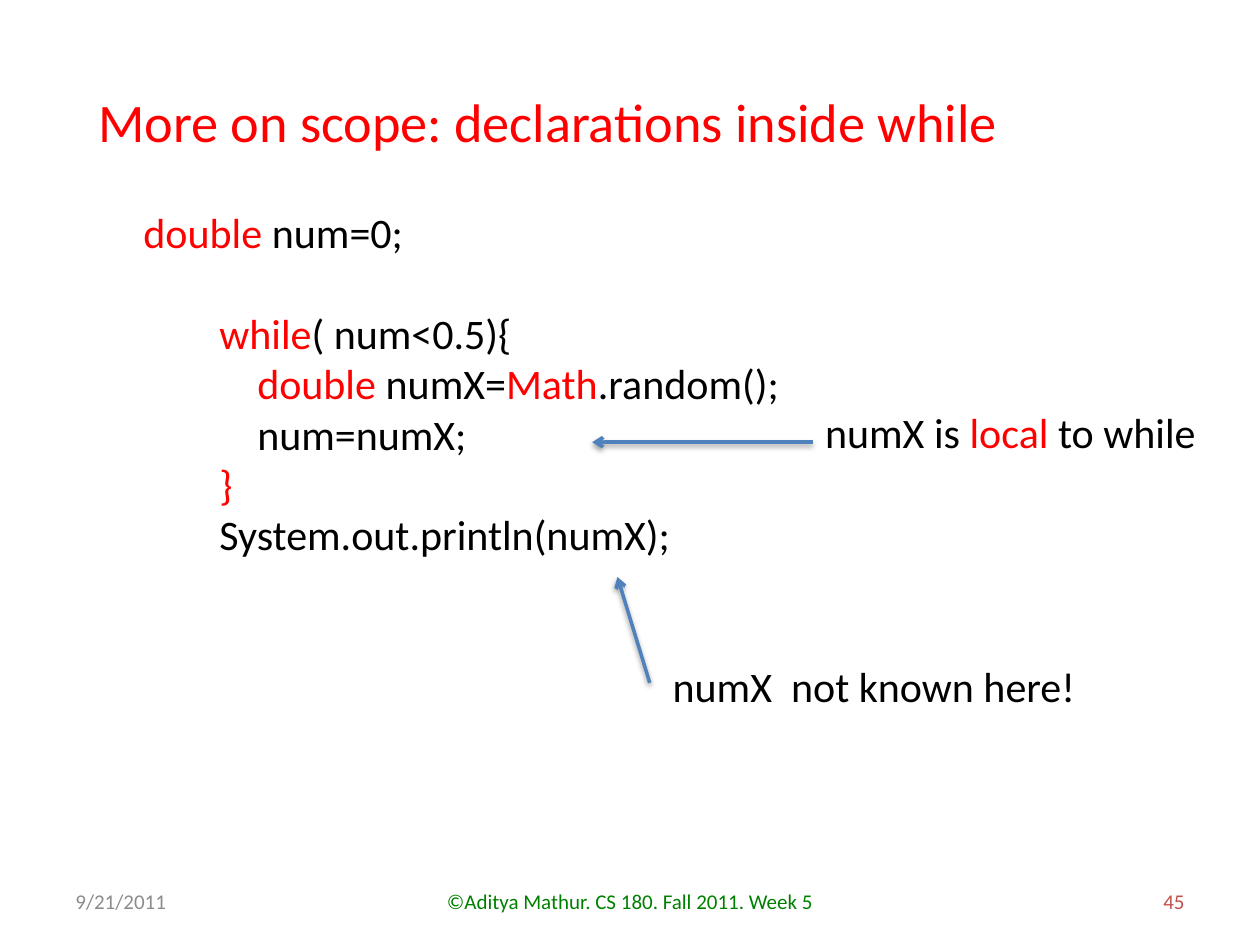
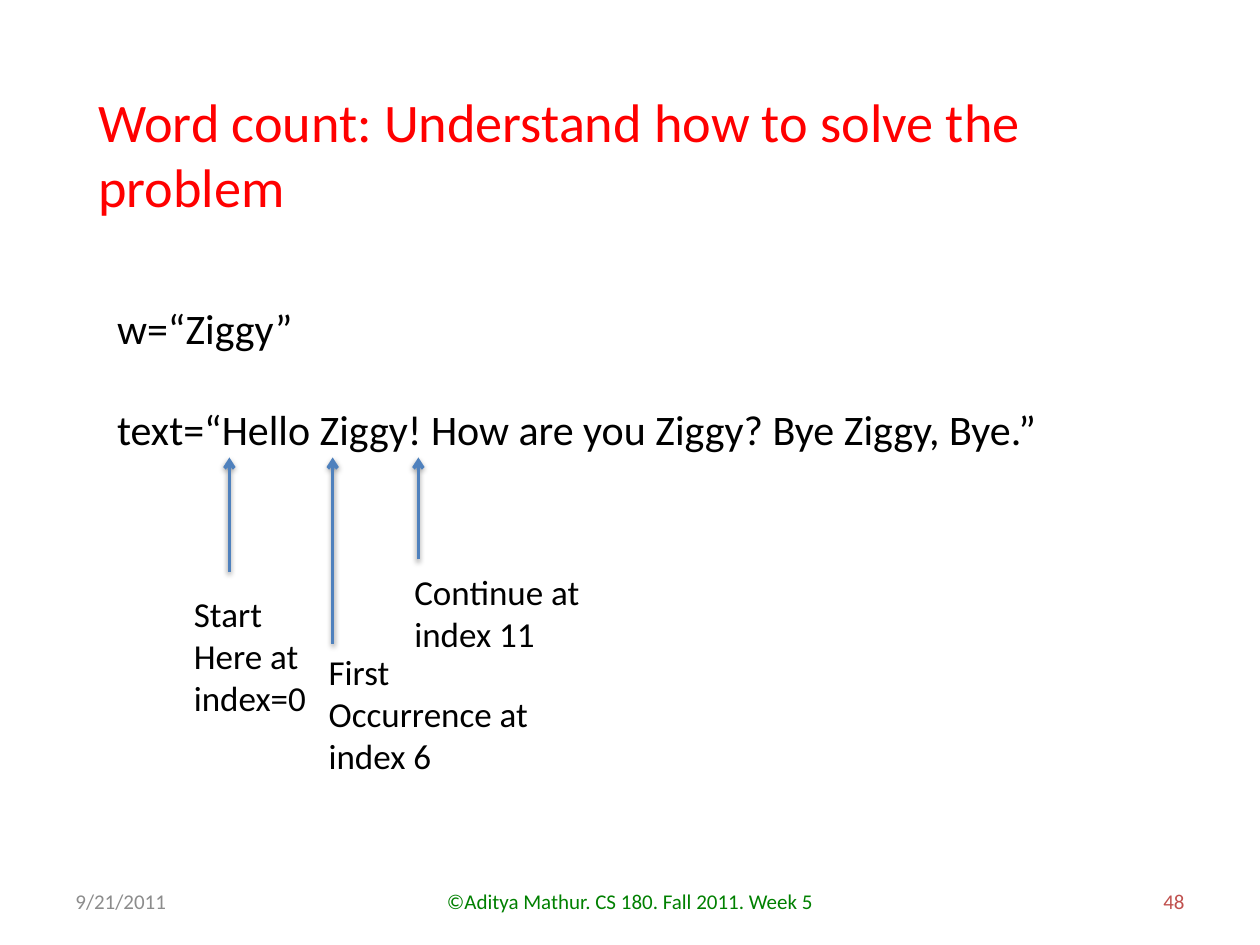
from lxml.etree import SubElement
from pptx import Presentation
from pptx.dml.color import RGBColor
from pptx.enum.shapes import MSO_CONNECTOR as Link
from pptx.enum.text import MSO_ANCHOR as Anchor, MSO_AUTO_SIZE as Fit, PP_ALIGN as Align
from pptx.oxml.ns import qn
from pptx.util import Pt

FONT = "Calibri"
RED, BLACK, BLUE = "FF0000", "000000", "4F81BD"
GREY, GREEN, BRICK = "8C8C8C", "008000", "C0504D"
SPACE = 5.42  # width of one space at code size
LINE = 28.8   # height of one line of code


def paint(color, value):
    color.rgb = RGBColor.from_string(value)


def write(par, text, size, color=BLACK, align=Align.LEFT):
    """Fill a paragraph; parts between asterisks turn red."""
    par.alignment = align
    for i, part in enumerate(text.split("*")):
        if part:
            run = par.add_run()
            run.text = part
            run.font.name, run.font.size = FONT, Pt(size)
            paint(run.font.color, RED if i % 2 else color)


def add_text(slide, box, lines, size, color=BLACK, align=Align.LEFT,
             anchor=Anchor.TOP, wrap=True):
    frame = slide.shapes.add_textbox(*map(Pt, box)).text_frame
    frame.word_wrap, frame.vertical_anchor = wrap, anchor
    for i, line in enumerate(lines):
        par = frame.add_paragraph() if i else frame.paragraphs[0]
        write(par, line, size, color, align)
    return frame


def add_arrow(slide, start, tip):
    arrow = slide.shapes.add_connector(Link.STRAIGHT, *map(Pt, start + tip))
    arrow.line.width = Pt(2)
    paint(arrow.line.color, BLUE)
    SubElement(arrow.line._get_or_add_ln(), qn("a:tailEnd"), type="arrow")
    effects = SubElement(arrow._element.spPr, qn("a:effectLst"))
    shadow = SubElement(effects, qn("a:outerShdw"), blurRad=str(Pt(3.1)),
                        dist=str(Pt(1.6)), dir="5400000", rotWithShape="0")
    tint = SubElement(shadow, qn("a:srgbClr"), val=BLACK)
    SubElement(tint, qn("a:alpha"), val="38000")


def add_note(slide, box, lines, size, start, tip):
    """Place a label and its arrow, whose ends are offsets from the box corner."""
    add_text(slide, box, lines, size, wrap=False)
    left, top = box[:2]
    add_arrow(slide, (left + start[0], top + start[1]),
              (left + tip[0], top + tip[1]))


def add_code(slide, box, rows):
    """Place rows of (indent in spaces, blank lines above, text)."""
    frame = add_text(slide, box, [text for _, _, text in rows], 24)
    for par, (indent, gap, _) in zip(frame.paragraphs, rows):
        par.space_before = Pt(gap * LINE)
        props = par._p.get_or_add_pPr()
        props.set("marL", str(Pt(indent * SPACE)))
        props.set("indent", "0")


def add_foot(slide, box, page):
    left, top, width, height = box
    side, mid = 168, 228
    parts = [
        (left, side, "9/21/2011", GREY, Align.LEFT),
        (left + (width - mid) / 2, mid,
         "©Aditya Mathur. CS 180. Fall 2011. Week 5", GREEN, Align.CENTER),
        (left + width - side, side, str(page), BRICK, Align.RIGHT),
    ]
    for x, wide, text, color, align in parts:
        add_text(slide, (x, top, wide, height), [text], 12, color, align,
                 Anchor.MIDDLE)


def add_slide(deck, title, height, page):
    slide = deck.slides.add_slide(deck.slide_layouts[5])
    head = slide.shapes.title
    head.left, head.top, head.width, head.height = map(Pt, (49, 46.8, 645, height))
    frame = head.text_frame
    frame.auto_size, frame.vertical_anchor = Fit.NONE, Anchor.TOP
    frame.word_wrap = True
    write(frame.paragraphs[0], title, 31, RED)
    add_foot(slide, (36, 500.5, 648, 28.75), page)
    return slide


def scope_slide(deck):
    slide = add_slide(deck, "More on scope: declarations inside while", 44.6, 45)
    add_code(slide, (74.9, 114.5, 400, 240), [
        (0, 0, "*double* num=0;"),
        (8, 1, "*while*( num<0.5){"),
        (12, 0, "*double* numX=*Math*.random();"),
        (12, 0, "num=numX;"),
        (8, 0, "*}*"),
        (8, 0, "System.out.println(numX);"),
    ])
    add_note(slide, (377.3, 373.7, 247, 36), ["numX  not known here!"], 24,
             (-6, 16.5), (-24.5, -44))
    add_note(slide, (464.4, 229, 229, 36), ["numX is* local *to while"], 24,
             (0, 23.7), (-126, 23.7))


def count_slide(deck):
    slide = add_slide(deck, "Word count: Understand how to solve the problem", 82, 48)
    add_code(slide, (59.8, 169.2, 588, 124), [
        (0, 0, "w=“Ziggy”"),
        (0, 1, "text=“Hello Ziggy! How are you Ziggy? Bye Ziggy, Bye.”"),
    ])
    tip = 261.4
    notes = [
        ((103.7, 334.8, 79.2, 80), ["Start", "Here at", "index=0"], 27.4, -7.9),
        ((180.7, 368, 129.6, 80), ["First", "Occurrence at", "index 6"], 9.4, 0),
        ((229.7, 322.6, 110.2, 55.4), ["Continue at", "index 11"], 9.4, -2.9),
    ]
    for box, lines, x, y in notes:
        add_note(slide, box, lines, 20, (x, y), (x, tip - box[1]))


def main():
    deck = Presentation()
    deck.slide_width, deck.slide_height = Pt(720), Pt(540)
    scope_slide(deck)
    count_slide(deck)
    deck.save("out.pptx")


if __name__ == "__main__":
    main()
